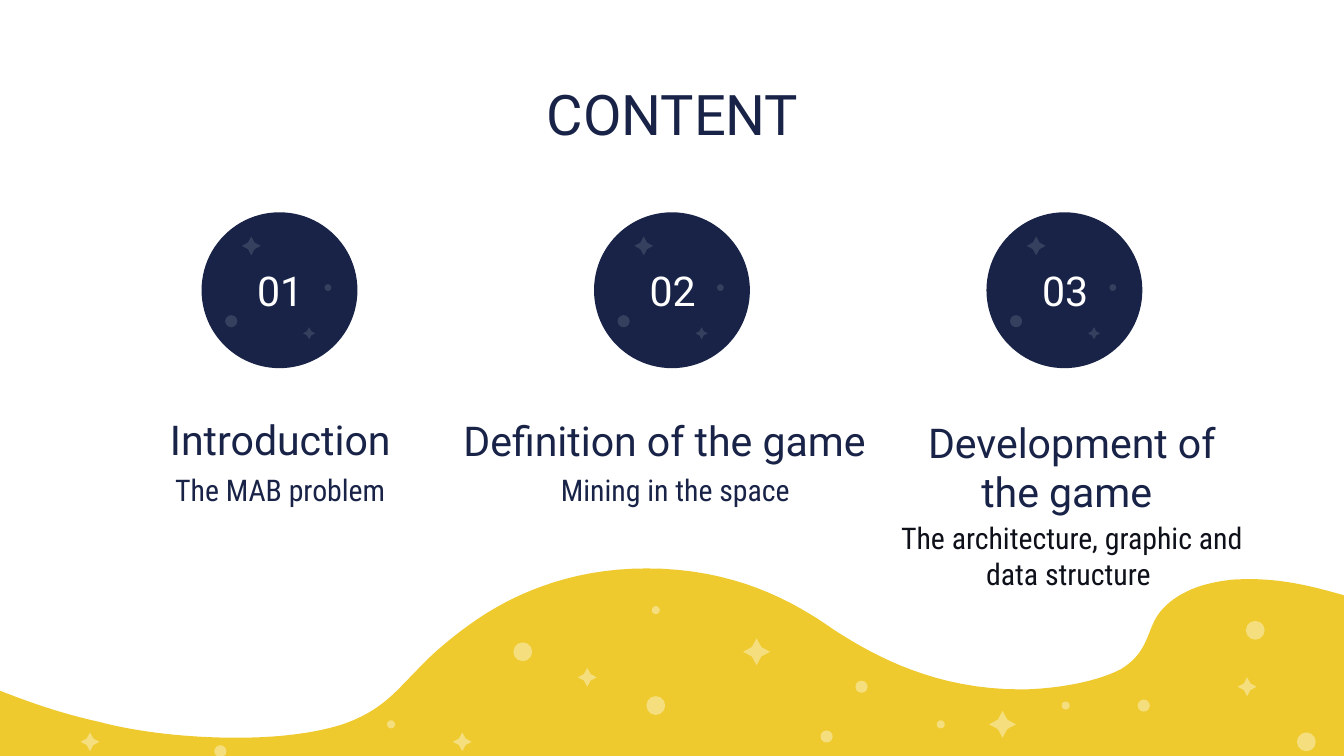
from pptx import Presentation
from pptx.dml.color import RGBColor
from pptx.enum.shapes import MSO_SHAPE
from pptx.enum.text import MSO_ANCHOR, PP_ALIGN
from pptx.oxml.ns import qn
from pptx.util import Inches, Pt
from lxml import etree

NAVY = RGBColor(0x18, 0x23, 0x47)
YELLOW = RGBColor(0xEF, 0xCA, 0x2E)
INK = RGBColor(0x0E, 0x10, 0x1A)
WHITE = RGBColor(0xFF, 0xFF, 0xFF)
OVAL, STAR = MSO_SHAPE.OVAL, MSO_SHAPE.STAR_4_POINT
TOP, MIDDLE, BOTTOM = MSO_ANCHOR.TOP, MSO_ANCHOR.MIDDLE, MSO_ANCHOR.BOTTOM
CENTER = PP_ALIGN.CENTER

BADGE_SIZE = 1.16
BADGE_LEFT, BADGE_TOP, BADGE_PITCH = 1.5, 1.58, 2.92
BADGE_DECOR = [
    (OVAL, 0.22, 0.81, 0.09),
    (STAR, 0.37, 0.25, 0.14),
    (OVAL, 0.94, 0.56, 0.05),
    (STAR, 0.8, 0.9, 0.09),
]
TOPICS = [
    ("Introduction", (0.79, 3.07, 2.59, 0.38),
     "The MAB problem", (0.79, 3.51, 2.59, 0.63), NAVY),
    ("Definition of the game", (3.38, 3.08, 3.13, 0.38),
     "Mining in the space", (3.73, 3.51, 2.59, 0.63), NAVY),
    ("Development of the game ", (6.68, 3.07, 2.59, 0.77),
     "The architecture, graphic and data structure ", (6.68, 3.87, 2.59, 0.63), INK),
]
WAVE_TOP = 4.23
WAVE_START = (4.81, 0)
WAVE_LEFT = [
    (4.22, 0, 3.79, 0.21, 3.52, 0.4),
    (3.35, 0.52, 3.21, 0.64, 3.09, 0.77),
    (2.95, 0.91, 2.84, 1.06, 2.55, 1.16),
    (2.33, 1.23, 2.05, 1.26, 1.76, 1.26),
    (1.41, 1.26, 1.03, 1.22, 0.73, 1.14),
    (0.46, 1.08, 0.23, 1, 0, 0.91),
]
WAVE_BASE = [(0, 1.67), (10, 1.67), (10, 0.2)]
WAVE_RIGHT = [
    (9.79, 0.14, 9.56, 0.08, 9.31, 0.08),
    (9.25, 0.08, 9.18, 0.08, 9.12, 0.09),
    (8.81, 0.13, 8.65, 0.27, 8.59, 0.39),
    (8.53, 0.51, 8.52, 0.64, 8.34, 0.75),
    (8.19, 0.83, 7.92, 0.89, 7.64, 0.9),
    (7.62, 0.9, 7.61, 0.9, 7.59, 0.9),
    (6.97, 0.9, 6.52, 0.66, 6.21, 0.46),
    (5.9, 0.24, 5.46, 0, 4.81, 0),
]
WAVE_DECOR = [
    (OVAL, 0.09, [(8.51, 1.02), (6.41, 0.88), (6.15, 1.25), (1.64, 1.36)]),
    (OVAL, 0.14, [(3.89, 0.62), (9.34, 0.46), (4.88, 1.02), (9.72, 1.29)]),
    (OVAL, 0.06, [(2.91, 1.16), (4.88, 0.31), (7, 1.16), (7.93, 1.02)]),
    (STAR, 0.14, [(4.37, 0.81), (3.44, 1.29), (9.28, 0.88), (0.67, 1.29)]),
    (STAR, 0.2, [(5.63, 0.62), (7.46, 1.16)]),
]


def paint(sp, color, alpha=100):
    """Give a shape a flat fill with the given opacity, and no line or shadow."""
    sp.shadow.inherit = False
    sp.line.fill.background()
    sp.fill.solid()
    sp.fill.fore_color.rgb = color
    if alpha < 100:
        clr = sp.element.spPr.find(qn("a:solidFill"))[0]
        etree.SubElement(clr, qn("a:alpha")).set("val", str(alpha * 1000))


def add_mark(shapes, kind, cx, cy, size, color, alpha=100):
    """Place a dot or sparkle around its centre."""
    sp = shapes.add_shape(kind, Inches(cx - size / 2), Inches(cy - size / 2),
                          Inches(size), Inches(size))
    if kind == STAR:
        sp.adjustments[0] = 0.25
    paint(sp, color, alpha)


def add_text(s, box, text, size, color, font="Roboto", anchor=TOP, inset=(0, 0)):
    """Place one centred paragraph in a box."""
    tf = s.shapes.add_textbox(*map(Inches, box)).text_frame
    tf.word_wrap = True
    tf.vertical_anchor = anchor
    tf.margin_left = tf.margin_right = Inches(inset[0])
    tf.margin_top = tf.margin_bottom = Inches(inset[1])
    p = tf.paragraphs[0]
    p.text = text
    p.alignment = CENTER
    p.font.name = font
    p.font.size = Pt(size)
    p.font.color.rgb = color


def trace_curves(start, curves, steps=16):
    """Return points along a chain of cubic curves."""
    points = []
    x0, y0 = start
    for x1, y1, x2, y2, x3, y3 in curves:
        for i in range(1, steps + 1):
            t = i / steps
            u = 1 - t
            a, b, c, d = u ** 3, 3 * u * u * t, 3 * u * t * t, t ** 3
            points.append((a * x0 + b * x1 + c * x2 + d * x3,
                           a * y0 + b * y1 + c * y2 + d * y3))
        x0, y0 = x3, y3
    return points


def add_wave(s, top):
    """Draw the yellow hills with their dots and sparkles."""
    points = (trace_curves(WAVE_START, WAVE_LEFT) + WAVE_BASE
              + trace_curves(WAVE_BASE[-1], WAVE_RIGHT))
    x, y = WAVE_START
    builder = s.shapes.build_freeform(Inches(x), Inches(top + y))
    builder.add_line_segments([(Inches(x), Inches(top + y)) for x, y in points])
    paint(builder.convert_to_shape(), YELLOW)
    shapes = s.shapes.add_group_shape().shapes
    for kind, size, centres in WAVE_DECOR:
        for x, y in centres:
            add_mark(shapes, kind, x, top + y, size, WHITE, 38)


def add_badge(s, left, top, number):
    """Draw a decorated circle with its number."""
    shapes = s.shapes.add_group_shape().shapes
    half = BADGE_SIZE / 2
    add_mark(shapes, OVAL, left + half, top + half, BADGE_SIZE, NAVY)
    for kind, x, y, size in BADGE_DECOR:
        add_mark(shapes, kind, left + x, top + y, size, WHITE, 13)
    add_text(s, (left + 0.18, top + 0.39, 0.81, 0.38), f"{number:02}", 22, WHITE,
             anchor=MIDDLE, inset=(0.1, 0))


def main():
    """Build the contents slide."""
    prs = Presentation()
    prs.slide_width = Inches(10)
    prs.slide_height = prs.slide_width * 9 // 16
    s = prs.slides.add_slide(prs.slide_layouts[6])
    add_wave(s, WAVE_TOP)
    add_text(s, (0.79, 0.49, 8.43, 0.63), "CONTENT", 30, NAVY, inset=(0.1, 0.1))
    for i, (heading, heading_box, detail, detail_box, color) in enumerate(TOPICS):
        add_badge(s, BADGE_LEFT + i * BADGE_PITCH, BADGE_TOP, i + 1)
        add_text(s, heading_box, heading, 22, NAVY, anchor=BOTTOM)
        add_text(s, detail_box, detail, 16, color, "Roboto Condensed")
    prs.save("out.pptx")


if __name__ == "__main__":
    main()
